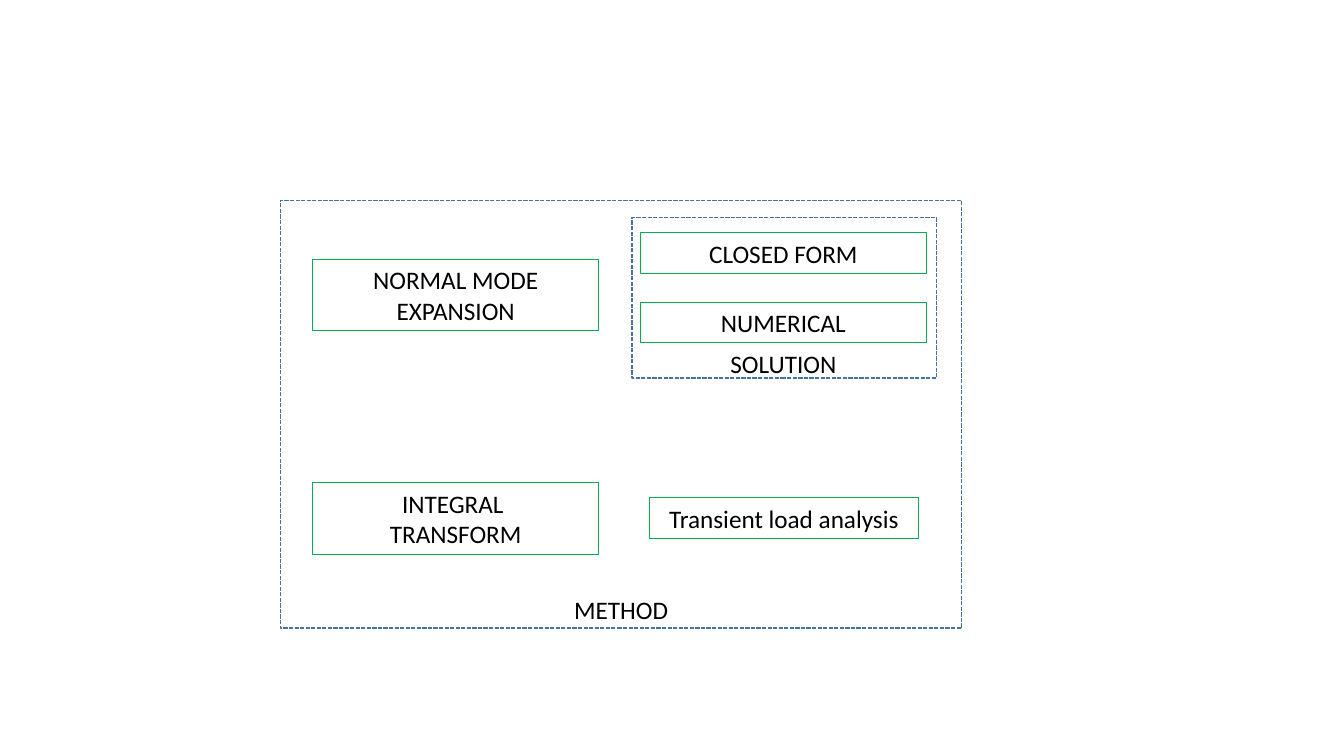
import pptx
import pptx.util
import pptx.dml.color
import pptx.enum.dml
import pptx.enum.shapes
import pptx.enum.text

Inches = pptx.util.Inches

GREEN = "00B050"
BLUE = "43739E"
BLACK = "000000"


def color(hex_code):
    return pptx.dml.color.RGBColor.from_string(hex_code)


def add_outline(slide, left, top, width, height, line_color, line_width):
    """Add an unfilled rectangle."""
    outline = slide.shapes.add_shape(
        pptx.enum.shapes.MSO_SHAPE.RECTANGLE,
        Inches(left), Inches(top), Inches(width), Inches(height))
    outline.shadow.inherit = False
    outline.fill.background()
    outline.line.color.rgb = color(line_color)
    outline.line.width = pptx.util.Pt(line_width)
    return outline


def write_text(frame, text, wrap):
    """Write centred text, one paragraph per line."""
    frame.text = text
    frame.word_wrap = wrap
    frame.auto_size = pptx.enum.text.MSO_AUTO_SIZE.SHAPE_TO_FIT_TEXT
    frame.vertical_anchor = pptx.enum.text.MSO_ANCHOR.MIDDLE
    for paragraph in frame.paragraphs:
        paragraph.alignment = pptx.enum.text.PP_ALIGN.CENTER
        paragraph.font.name = "Calibri"
        paragraph.font.size = pptx.util.Pt(18)
        paragraph.font.color.rgb = color(BLACK)


def add_step(slide, text, left, top, width, height):
    """Add a green box with its text."""
    step = add_outline(slide, left, top, width, height, GREEN, 0.75)
    write_text(step.text_frame, text, True)


def add_group_frame(slide, left, top, width, height):
    """Add a dashed frame around a group of steps."""
    frame = add_outline(slide, left, top, width, height, BLUE, 1)
    frame.line.dash_style = pptx.enum.dml.MSO_LINE.SQUARE_DOT


def add_group_label(slide, text, left, top, width, height):
    label = slide.shapes.add_textbox(
        Inches(left), Inches(top), Inches(width), Inches(height))
    write_text(label.text_frame, text, False)


def main():
    deck = pptx.Presentation()
    deck.slide_width = Inches(13.33)
    deck.slide_height = Inches(7.5)
    slide = deck.slides.add_slide(deck.slide_layouts[6])

    # Steps of the method
    add_step(slide, "Transient load analysis", 6.44, 4.94, 2.67, 0.4)
    add_step(slide, "INTEGRAL \nTRANSFORM", 3.1, 4.79, 2.84, 0.71)
    add_step(slide, "NORMAL MODE EXPANSION", 3.1, 2.57, 2.84, 0.71)

    # Method group
    add_group_frame(slide, 2.78, 1.99, 6.76, 4.24)
    add_group_label(slide, "METHOD", 5.59, 5.85, 1.14, 0.4)

    # Solution group and its two forms
    add_group_frame(slide, 6.27, 2.16, 3.02, 1.59)
    add_group_label(slide, "SOLUTION", 7.14, 3.41, 1.26, 0.4)
    add_step(slide, "CLOSED FORM", 6.35, 2.31, 2.84, 0.4)
    add_step(slide, "NUMERICAL", 6.35, 3, 2.84, 0.4)

    deck.save("out.pptx")


if __name__ == "__main__":
    main()
